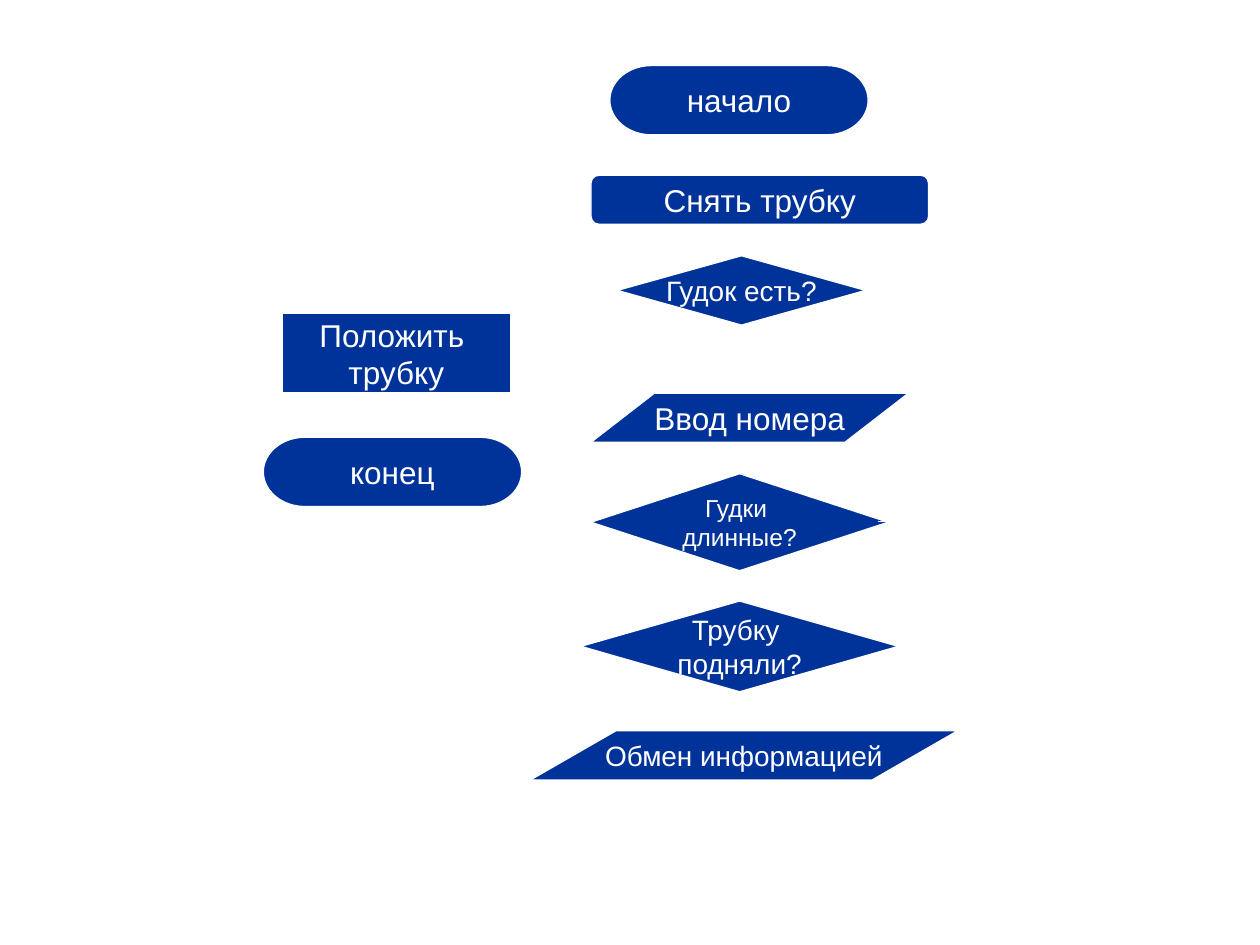
from lxml.etree import SubElement
from pptx import Presentation
from pptx.dml.color import RGBColor
from pptx.enum.shapes import MSO_CONNECTOR, MSO_SHAPE
from pptx.enum.text import MSO_ANCHOR, PP_ALIGN
from pptx.oxml.ns import qn
from pptx.util import Inches, Pt

BLUE = RGBColor(0x00, 0x33, 0x99)
WHITE = RGBColor(0xFF, 0xFF, 0xFF)

TERMINATOR = MSO_SHAPE.FLOWCHART_TERMINATOR
ACTION = MSO_SHAPE.FLOWCHART_ALTERNATE_PROCESS
PROCESS = MSO_SHAPE.FLOWCHART_PROCESS
DECISION = MSO_SHAPE.FLOWCHART_DECISION
DATA = MSO_SHAPE.FLOWCHART_DATA

presentation = Presentation()
presentation.slide_width = Inches(10)
presentation.slide_height = Inches(7.5)
slide = presentation.slides.add_slide(presentation.slide_layouts[6])


def add_line(start, end, width, arrow):
    connector = slide.shapes.add_connector(
        MSO_CONNECTOR.STRAIGHT, *(Inches(value) for value in (*start, *end))
    )
    connector.line.color.rgb = WHITE
    connector.line.width = Pt(width)
    if arrow:
        SubElement(connector.line._get_or_add_ln(), qn("a:tailEnd"), type="triangle")
    SubElement(connector._element.spPr, qn("a:effectLst"))


step_links = [
    ((5.94, 1.07), (5.94, 1.34), True),
    ((5.92, 1.78), (5.92, 2.05), False),
    ((5.9, 2.58), (5.89, 3.11), False),
    ((3.11, 3.12), (3.11, 3.39), True),
    ((5.92, 3.51), (5.92, 3.79), False),
    ((5.88, 4.54), (5.87, 4.77), False),
    ((5.88, 5.48), (5.87, 5.8), False),
]
for start, end, arrow in step_links:
    add_line(start, end, 1, arrow)

steps = [
    (TERMINATOR, "начало", 18, 4.84, 0.52, 2.05, 0.55),
    (ACTION, "Снять трубку", 18, 4.69, 1.39, 2.68, 0.39),
    (DECISION, "Гудок есть?", 16, 4.9, 2.03, 1.97, 0.55),
    (PROCESS, "Положить \nтрубку", 18, 2.24, 2.49, 1.81, 0.63),
    (TERMINATOR, "конец", 18, 2.09, 3.47, 2.05, 0.55),
    (DATA, "Ввод номера", 18, 4.69, 3.12, 2.52, 0.39),
    (DECISION, "Гудки \nдлинные?", 14, 4.69, 3.76, 2.36, 0.77),
    (DECISION, "Трубку \nподняли?", 16, 4.61, 4.77, 2.52, 0.72),
    (DATA, "Обмен информацией", 16, 4.21, 5.8, 3.39, 0.39),
]
for kind, text, size, *box in steps:
    shape = slide.shapes.add_shape(kind, *(Inches(value) for value in box))
    shape.shadow.inherit = False
    shape.fill.solid()
    shape.fill.fore_color.rgb = BLUE
    shape.line.color.rgb = WHITE
    shape.line.width = Pt(0.75)
    text_frame = shape.text_frame
    text_frame.word_wrap = False
    text_frame.vertical_anchor = MSO_ANCHOR.MIDDLE
    paragraph = text_frame.paragraphs[0]
    paragraph.text = text.replace("\n", "\v")
    paragraph.alignment = PP_ALIGN.CENTER
    paragraph.font.name = "Arial"
    paragraph.font.size = Pt(size)
    paragraph.font.color.rgb = WHITE

branch_routes = [
    [(4.9, 2.31), (3.74, 2.29), (3.74, 2.45)],
    [(6.97, 4.14), (8.15, 4.14), (8.15, 1.94), (5.94, 1.94)],
    [(4.76, 5.09), (3.82, 5.09), (3.82, 4.69), (5.87, 4.69)],
    [(5.87, 6.19), (5.87, 6.43), (1.14, 6.43), (1.14, 2.33), (3.66, 2.33)],
]
for route in branch_routes:
    for start, end in zip(route, route[1:]):
        add_line(start, end, 0.75, end == route[-1])

presentation.save("out.pptx")
